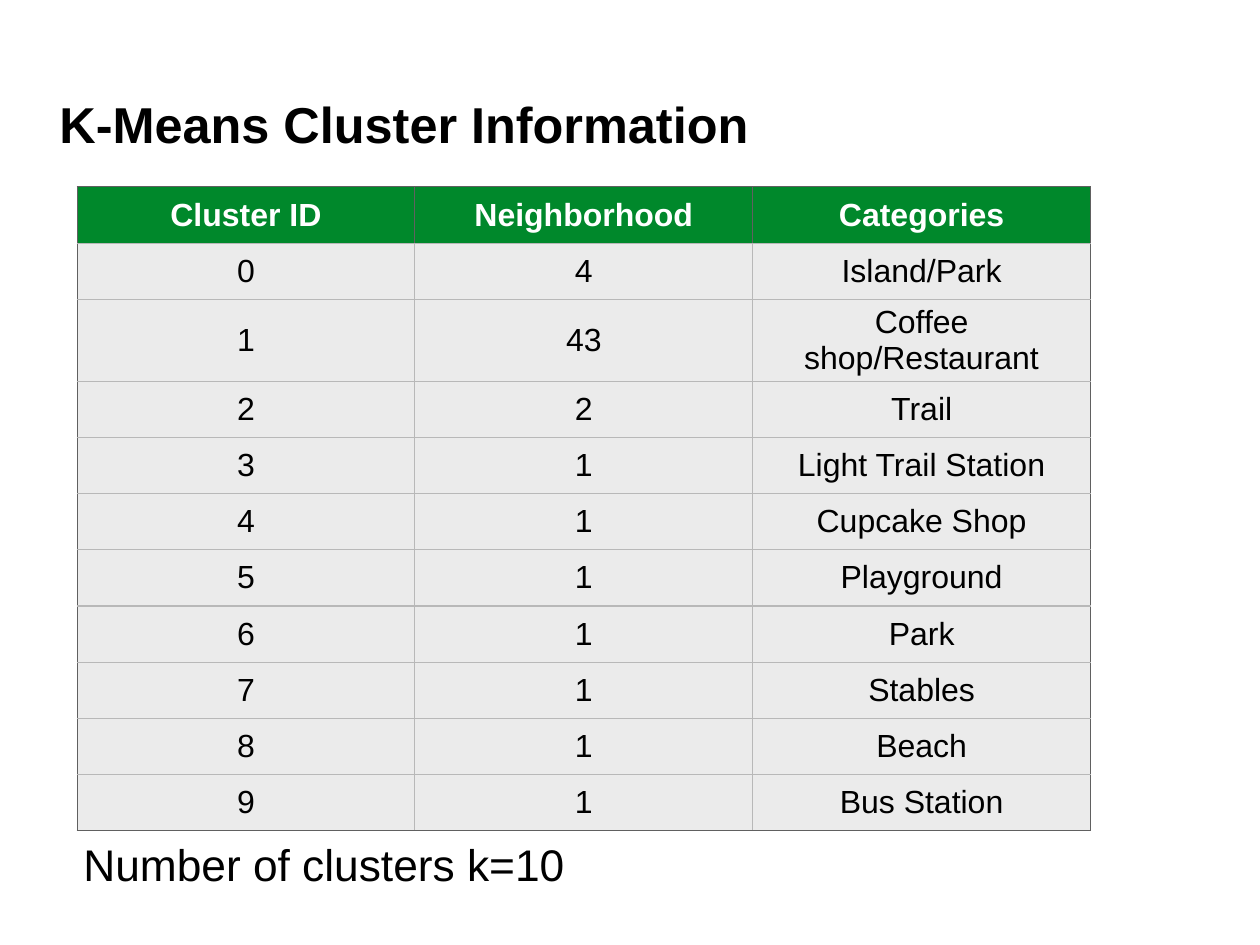
from dataclasses import dataclass
from lxml.etree import SubElement
from pptx import Presentation
from pptx.dml.color import RGBColor
from pptx.enum.text import MSO_ANCHOR, MSO_AUTO_SIZE, PP_ALIGN
from pptx.oxml.ns import qn
from pptx.util import Pt

EMU_PER_PX = 9144
SLIDE_SIZE = (1422, 1067)
TITLE_BOX = (67, 68, 1144, 142)
TABLE_BOX = (87, 211, 1144, 698)
NOTE_BOX = (88, 940, 565, 71)
INSET = 6

HEADER = ("Cluster ID", "Neighborhood", "Categories")
CLUSTERS = (
    (4, "Island/Park"),
    (43, "Coffee shop/Restaurant"),
    (2, "Trail"),
    (1, "Light Trail Station"),
    (1, "Cupcake Shop"),
    (1, "Playground"),
    (1, "Park"),
    (1, "Stables"),
    (1, "Beach"),
    (1, "Bus Station"),
)


@dataclass(frozen=True)
class Theme:
    font: str = "Arial"
    title_size: int = 41
    table_size: int = 26
    note_size: int = 36
    text: str = "000000"
    header_text: str = "FFFFFF"
    header_fill: str = "00882B"
    body_fill: str = "EBEBEB"
    outline: str = "606060"
    grid: str = "B8B8B8"
    border_width: int = 1


THEME = Theme()


def px(length):
    return length * EMU_PER_PX


def to_emu(box):
    return [px(length) for length in box]


def set_text(text_frame, text, size, color, bold=False, alignment=PP_ALIGN.LEFT):
    text_frame.text = text
    for paragraph in text_frame.paragraphs:
        paragraph.alignment = alignment
        for run in paragraph.runs:
            run.font.name = THEME.font
            run.font.size = Pt(size)
            run.font.bold = bold
            run.font.color.rgb = RGBColor.from_string(color)


def set_insets(target, inset):
    """Set equal margins on a text frame or a table cell."""
    target.margin_left = target.margin_right = px(inset)
    target.margin_top = target.margin_bottom = px(inset)


def add_text(slide, box, text, size, bold=False, inset=0, wrap=True):
    text_frame = slide.shapes.add_textbox(*to_emu(box)).text_frame
    text_frame.word_wrap = wrap
    text_frame.auto_size = MSO_AUTO_SIZE.NONE if wrap else MSO_AUTO_SIZE.SHAPE_TO_FIT_TEXT
    text_frame.vertical_anchor = MSO_ANCHOR.MIDDLE
    set_insets(text_frame, inset)
    set_text(text_frame, text, size, THEME.text, bold)


def set_borders(cell, colors):
    """Draw the left, right, top and bottom borders in the given colors."""
    properties = cell._tc.get_or_add_tcPr()
    for index, (side, color) in enumerate(zip(("lnL", "lnR", "lnT", "lnB"), colors)):
        line = properties.makeelement(qn(f"a:{side}"), {"w": str(Pt(THEME.border_width))})
        fill = SubElement(line, qn("a:solidFill"))
        SubElement(fill, qn("a:srgbClr"), val=color)
        properties.insert(index, line)


def add_cluster_table(slide, box):
    rows = [HEADER]
    rows += [(cluster_id, *cluster) for cluster_id, cluster in enumerate(CLUSTERS)]
    last_row, last_column = len(rows) - 1, len(HEADER) - 1
    table = slide.shapes.add_table(len(rows), len(HEADER), *to_emu(box)).table
    for row_index, row in enumerate(rows):
        is_header = row_index == 0
        fill = THEME.header_fill if is_header else THEME.body_fill
        color = THEME.header_text if is_header else THEME.text
        for column_index, value in enumerate(row):
            cell = table.cell(row_index, column_index)
            cell.vertical_anchor = MSO_ANCHOR.MIDDLE
            set_insets(cell, INSET)
            set_text(cell.text_frame, str(value), THEME.table_size, color, is_header, PP_ALIGN.CENTER)
            cell.fill.solid()
            cell.fill.fore_color.rgb = RGBColor.from_string(fill)
            on_outline = (
                is_header or column_index == 0,
                is_header or column_index == last_column,
                is_header,
                row_index == last_row,
            )
            set_borders(cell, [THEME.outline if outer else THEME.grid for outer in on_outline])


def main():
    presentation = Presentation()
    presentation.slide_width, presentation.slide_height = to_emu(SLIDE_SIZE)
    slide = presentation.slides.add_slide(presentation.slide_layouts[6])
    add_text(slide, TITLE_BOX, "K-Means Cluster Information", THEME.title_size, bold=True)
    add_cluster_table(slide, TABLE_BOX)
    add_text(slide, NOTE_BOX, "Number of clusters k=10", THEME.note_size, inset=INSET, wrap=False)
    presentation.save("out.pptx")


if __name__ == "__main__":
    main()
